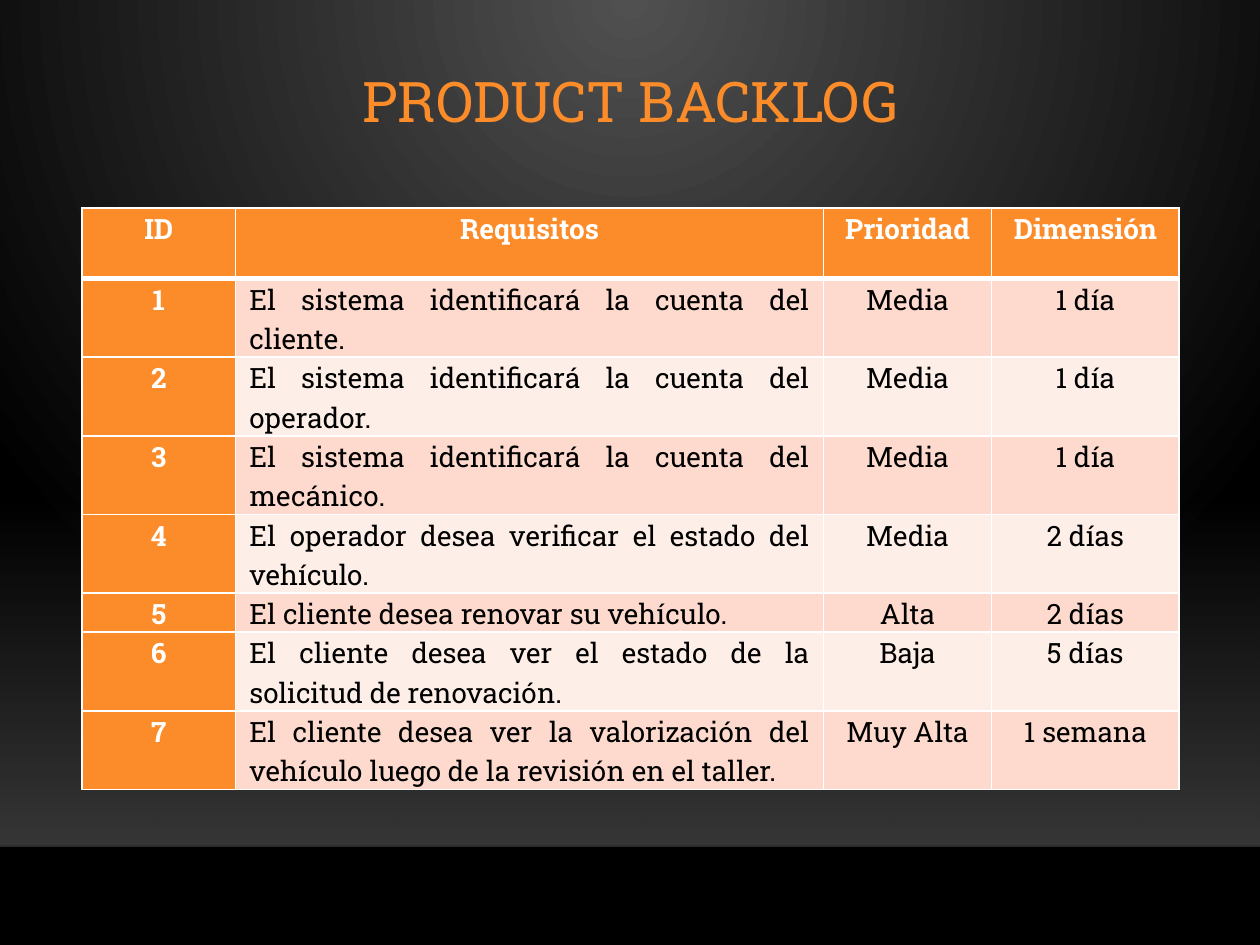
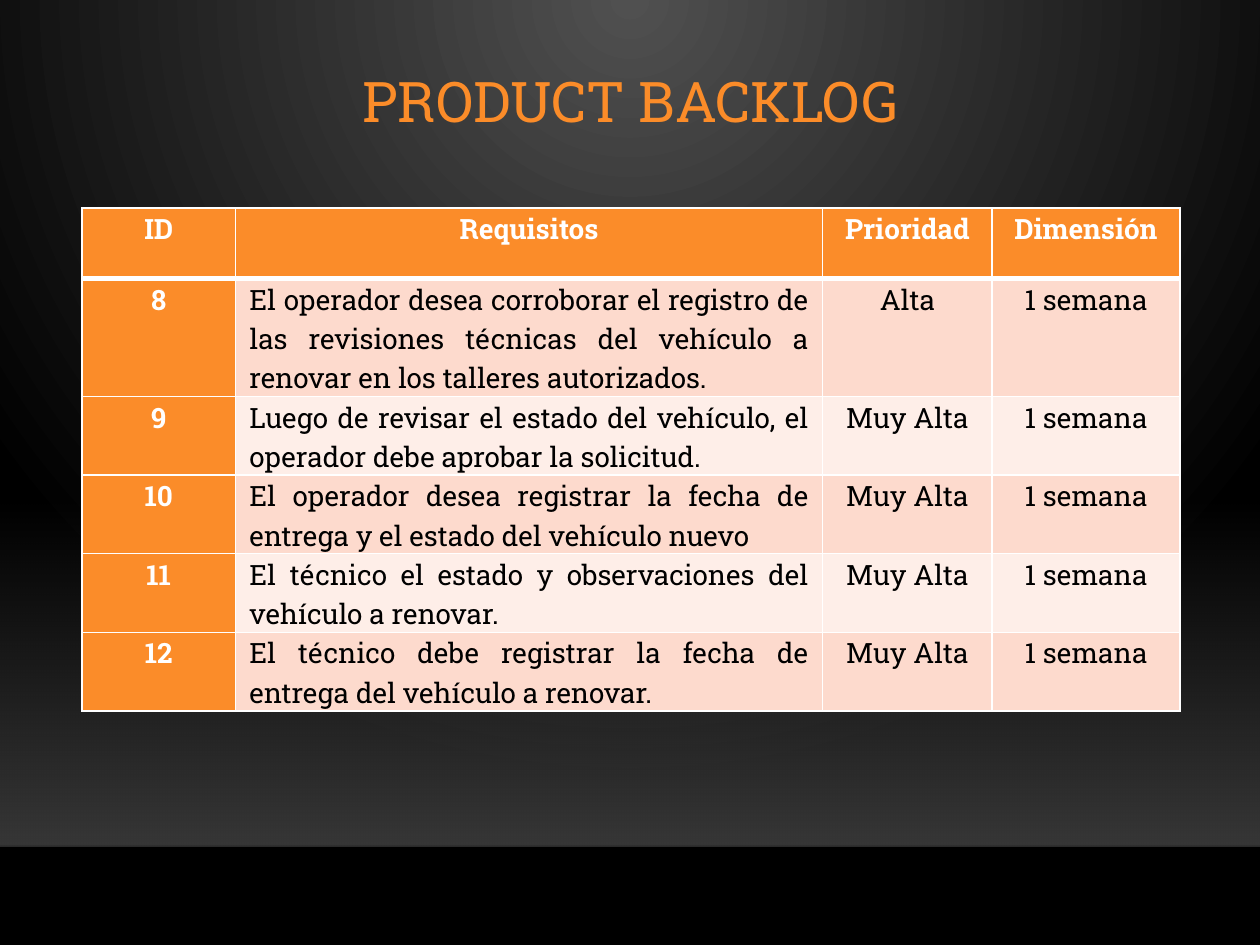
from lxml import etree
from pptx import Presentation
from pptx.dml.color import RGBColor
from pptx.enum.shapes import MSO_CONNECTOR, MSO_SHAPE
from pptx.enum.text import MSO_ANCHOR, PP_ALIGN
from pptx.oxml.ns import qn
from pptx.util import Inches, Pt

RECT = MSO_SHAPE.RECTANGLE
LINE = MSO_CONNECTOR.STRAIGHT
MID = MSO_ANCHOR.MIDDLE
CENTER, JUST = PP_ALIGN.CENTER, PP_ALIGN.JUSTIFY

ORANGE, WHITE, BLACK = "FB8C29", "FFFFFF", "000000"
BANDS = ["FDDACD", "FEEEE8"]
GLOW = ["505050", BLACK]
SIDES = ["lnL", "lnR", "lnT", "lnB"]
HEAD = (1.8, "ID", "Requisitos", "Prioridad", "Dimensión")
STEP = 4.16

PAGES = [
    ([12.2, 46.67, 13.33, 14.9], [
        (2, "1", "El sistema identificará la cuenta del cliente.", "Media", "1 día"),
        (2, "2", "El sistema identificará la cuenta del operador.", "Media", "1 día"),
        (2, "3", "El sistema identificará la cuenta del mecánico.", "Media", "1 día"),
        (2, "4", "El operador desea verificar el estado del vehículo.", "Media", "2 días"),
        (1, "5", "El cliente desea renovar su vehículo.", "Alta", "2 días"),
        (2, "6", "El cliente desea ver el estado de la solicitud de renovación.",
         "Baja", "5 días"),
        (2, "7", "El cliente desea ver la valorización del vehículo luego de la "
         "revisión en el taller.", "Muy Alta", "1 semana"),
    ]),
    ([12.2, 46.6, 13.45, 14.9], [
        (3, "8", "El operador desea corroborar el registro de las revisiones técnicas "
         "del vehículo a renovar en los talleres autorizados.", "Alta", "1 semana"),
        (2, "9", "Luego de revisar el estado del vehículo, el operador debe aprobar "
         "la solicitud.", "Muy Alta", "1 semana"),
        (2, "10", "El operador desea registrar la fecha de entrega y el estado del "
         "vehículo nuevo", "Muy Alta", "1 semana"),
        (2, "11", "El técnico el estado y observaciones del vehículo a renovar.",
         "Muy Alta", "1 semana"),
        (2, "12", "El técnico debe registrar la fecha de entrega del vehículo a renovar.",
         "Muy Alta", "1 semana"),
    ]),
]


def rgb(code):
    return RGBColor.from_string(code)


def write(frame, text, size, code, bold=False, align=CENTER, gap=1.07):
    para = frame.paragraphs[0]
    para.alignment, para.line_spacing = align, gap
    run = para.add_run()
    run.text = text
    look = {"name": "Roboto Slab", "size": Pt(size), "bold": bold}
    for key, val in look.items():
        setattr(run.font, key, val)
    run.font.color.rgb = rgb(code)


deck = Presentation()
deck.slide_width, deck.slide_height = Inches(10), Inches(7.5)
wide, high = deck.slide_width, deck.slide_height
col, row = wide / 100, high / 100
floor = int(89.55 * row)

for widths, tasks in PAGES:
    slide = deck.slides.add_slide(deck.slide_layouts[6])
    shapes = slide.shapes

    back = slide.background.fill
    back.gradient()
    for stop, code, pos in zip(back.gradient_stops, GLOW, [0, 1]):
        stop.color.rgb, stop.position = rgb(code), pos
    grad = slide.element.find(".//" + qn("a:gradFill"))
    grad.remove(grad.find(qn("a:lin")))
    round_ = etree.SubElement(grad, qn("a:path"), path="circle")
    etree.SubElement(round_, qn("a:fillToRect"), l="43000", t="0", r="43000", b="100000")

    top = int(52.8 * row)
    band = shapes.add_shape(RECT, 0, top, wide, floor - top)
    band.shadow.inherit = False
    band.line.fill.background()
    band.fill.gradient()
    band.fill.gradient_angle = 270
    for stop, pos in zip(band.fill.gradient_stops, [0, 1]):
        stop.color.rgb, stop.position = rgb("454545"), pos
    for tint, val in zip(band.element.spPr.iter(qn("a:srgbClr")), ["0", "80000"]):
        etree.SubElement(tint, qn("a:alpha"), val=val)

    edge = shapes.add_connector(LINE, 0, floor, wide, floor)
    edge.line.width, edge.line.color.rgb = Pt(1), rgb("000001")
    tint = edge.element.spPr.find(".//" + qn("a:srgbClr"))
    etree.SubElement(tint, qn("a:alpha"), val="20000")
    etree.SubElement(edge.element.spPr, qn("a:effectLst"))

    title = shapes.add_textbox(int(-0.75 * col), int(3.43 * row),
                               int(101.6 * col), int(15.33 * row)).text_frame
    title.word_wrap, title.vertical_anchor = True, MID
    write(title, "PRODUCT BACKLOG", 32, ORANGE, gap=0.9)

    lines = [HEAD] + tasks
    tall = sum(line[0] for line in lines) * STEP
    table = shapes.add_table(len(lines), 4, int(6.5 * col), int(22 * row),
                             int(sum(widths) * col), int(tall * row)).table
    table.first_col = True
    for part, share in zip(table.columns, widths):
        part.width = int(share * col)
    for i, (count, *texts) in enumerate(lines):
        table.rows[i].height = int(count * STEP * row)
        for j, text in enumerate(texts):
            cell = table.cell(i, j)
            pad = {"margin_left": Inches(0.11), "margin_right": Inches(0.11),
                   "margin_top": 0, "margin_bottom": 0}
            for key, val in pad.items():
                setattr(cell, key, val)
            props = cell._tc.get_or_add_tcPr()
            for side in SIDES:
                thick = (i, side) in [(0, "lnB"), (1, "lnT")]
                rule = etree.SubElement(props, qn("a:" + side), w=str(Pt(3 if thick else 1)))
                solid = etree.SubElement(rule, qn("a:solidFill"))
                etree.SubElement(solid, qn("a:srgbClr"), val=WHITE)
            key = i == 0 or j == 0
            cell.fill.solid()
            cell.fill.fore_color.rgb = rgb(ORANGE if key else BANDS[(i - 1) % 2])
            write(cell.text_frame, text, 16, WHITE if key else BLACK, key,
                  JUST if i and j == 1 else CENTER)

deck.save("out.pptx")
